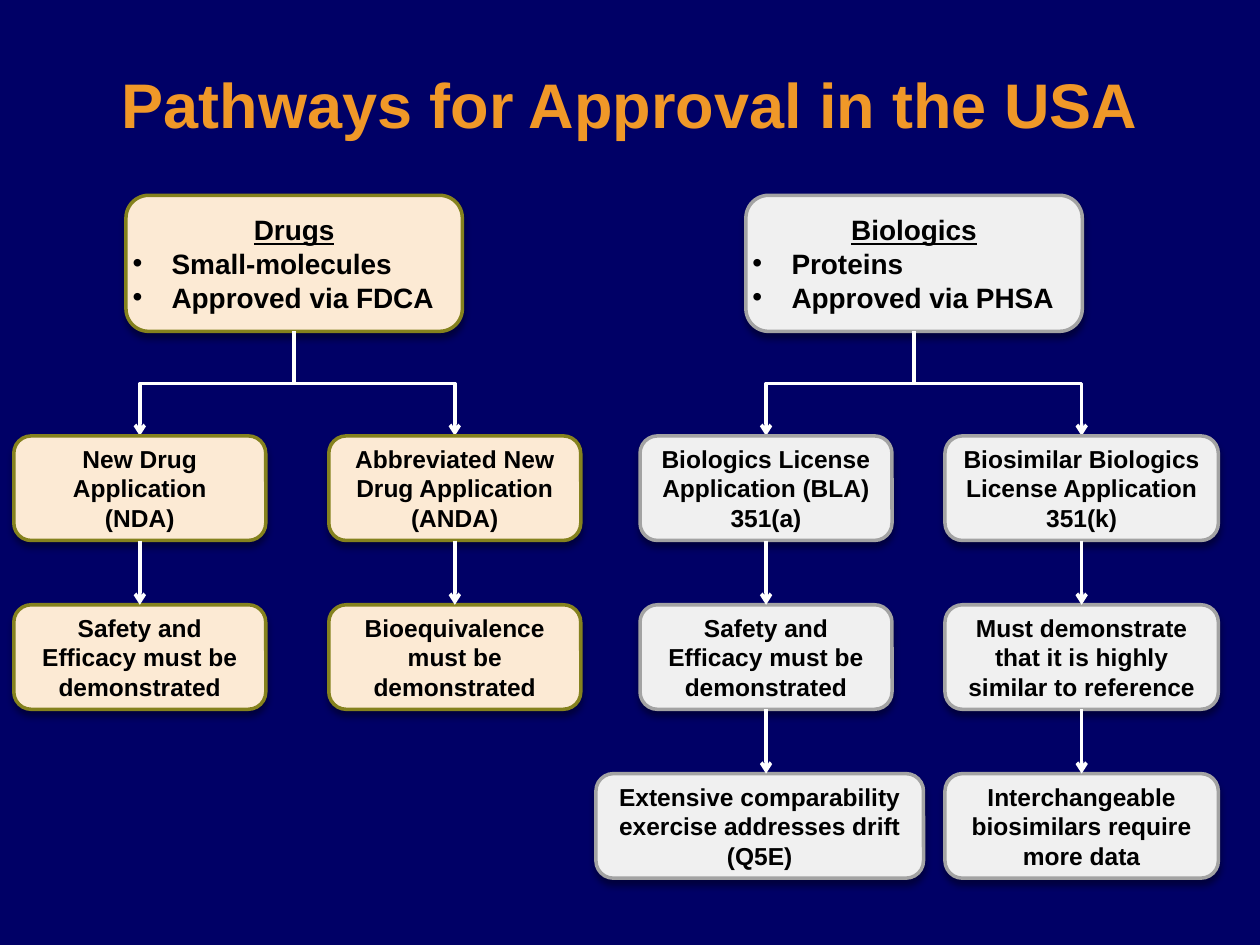
from dataclasses import dataclass

from lxml import etree
from pptx import Presentation
from pptx.dml.color import RGBColor
from pptx.enum import shapes, text
from pptx.oxml import ns
from pptx.util import Inches, Pt

COLORS = {
    "background": "000066",
    "title": "F09828",
    "text": "000000",
    "connector": "FFFFFF",
    "shadow": "000000",
    "drug_fill": "FCEAD4",
    "drug_line": "85821E",
    "biologic_fill": "F0F0F0",
    "biologic_line": "A3A3A3",
}
FONT = "Arial"
HEADER_TOP, HEADER_WIDTH, HEADER_HEIGHT = 1.55, 2.67, 1.08
STEP_TOP, STEP_HEIGHT, STEP_PITCH = 3.46, 0.83, 1.34


@dataclass(frozen=True)
class Step:
    lines: tuple[str, ...]
    left: float
    width: float = 2.0


@dataclass(frozen=True)
class Pathway:
    kind: str
    header: str
    bullets: tuple[str, ...]
    left: float
    columns: tuple[tuple[Step, ...], ...]


PATHWAYS = (
    Pathway("drug", "Drugs", ("Small-molecules", "Approved via FDCA"), 1.0, (
        (Step(("New Drug Application", "(NDA)"), 0.11),
         Step(("Safety and Efficacy must be demonstrated",), 0.11)),
        (Step(("Abbreviated New Drug Application", "(ANDA)"), 2.61),
         Step(("Bioequivalence must be demonstrated",), 2.61)),
    )),
    Pathway("biologic", "Biologics", ("Proteins", "Approved via PHSA"), 5.92, (
        (Step(("Biologics License Application (BLA)", "351(a)"), 5.08),
         Step(("Safety and Efficacy must be demonstrated",), 5.08),
         Step(("Extensive comparability exercise addresses drift", "(Q5E)"), 4.73, 2.6)),
        (Step(("Biosimilar Biologics License Application", "351(k)"), 7.5, 2.17),
         Step(("Must demonstrate that it is highly similar to reference",), 7.5, 2.17),
         Step(("Interchangeable biosimilars require more data",), 7.5, 2.17)),
    )),
)


def rgb(name: str) -> RGBColor:
    return RGBColor.from_string(COLORS[name])


def add_child(parent, tag: str, **attributes):
    child = etree.SubElement(parent, ns.qn(tag))
    for key, value in attributes.items():
        child.set(key, str(value))
    return child


def add_shadow(effects, blur: float, distance: float, degrees: int, opacity: int) -> None:
    shadow = add_child(effects, "a:outerShdw", blurRad=Pt(blur), dist=Pt(distance),
                       dir=degrees * 60000, algn="ctr", rotWithShape=0)
    color = add_child(shadow, "a:srgbClr", val=COLORS["shadow"])
    add_child(color, "a:alpha", val=opacity * 1000)


def write(paragraph, words: str, size: int, color: str = "text", underline: bool = False,
          alignment=text.PP_ALIGN.CENTER):
    paragraph.alignment = alignment
    run = paragraph.add_run()
    run.text = words
    font_format = {"name": FONT, "size": Pt(size), "bold": True, "underline": underline}
    for attribute, value in font_format.items():
        setattr(run.font, attribute, value)
    run.font.color.rgb = rgb(color)
    return run


def add_title(slide, words: str) -> None:
    title = slide.shapes.title
    place = {"left": 0.5, "top": 0.3, "width": 9, "height": 1.12}
    for attribute, value in place.items():
        setattr(title, attribute, Inches(value))
    title.text_frame.vertical_anchor = text.MSO_ANCHOR.MIDDLE
    paragraph = title.text_frame.paragraphs[0]
    paragraph.line_spacing = 0.9
    run = write(paragraph, words, 36, "title")
    fill = run.font._element.find(ns.qn("a:solidFill"))
    effects = etree.Element(ns.qn("a:effectLst"))
    fill.addnext(effects)
    add_shadow(effects, 3, 3, 45, 100)


def add_box(slide, kind: str, left: float, top: float, width: float, height: float):
    """Draw a shadowed rounded box and return its text frame."""
    box = slide.shapes.add_shape(shapes.MSO_SHAPE.ROUNDED_RECTANGLE, Inches(left),
                                 Inches(top), Inches(width), Inches(height))
    box.fill.solid()
    box.fill.fore_color.rgb = rgb(f"{kind}_fill")
    box.line.color.rgb = rgb(f"{kind}_line")
    box.line.width = Pt(2)
    box.shadow.inherit = False
    add_shadow(box._element.spPr.find(ns.qn("a:effectLst")), 4, 3, 90, 40)
    frame = box.text_frame
    frame.word_wrap = True
    frame.vertical_anchor = text.MSO_ANCHOR.MIDDLE
    return frame


def add_header(slide, pathway: Pathway) -> None:
    frame = add_box(slide, pathway.kind, pathway.left, HEADER_TOP, HEADER_WIDTH, HEADER_HEIGHT)
    frame.margin_left = frame.margin_right = 0
    write(frame.paragraphs[0], pathway.header, 16, underline=True)
    for words in pathway.bullets:
        paragraph = frame.add_paragraph()
        write(paragraph, words, 16, alignment=text.PP_ALIGN.LEFT)
        properties = paragraph._p.get_or_add_pPr()
        properties.set("marL", str(Inches(0.31)))
        properties.set("indent", str(-Inches(0.31)))
        add_child(properties, "a:buFont", typeface=FONT)
        add_child(properties, "a:buChar", char="•")


def add_step(slide, kind: str, step: Step, top: float) -> None:
    frame = add_box(slide, kind, step.left, top, step.width, STEP_HEIGHT)
    for index, words in enumerate(step.lines):
        paragraph = frame.add_paragraph() if index else frame.paragraphs[0]
        write(paragraph, words, 14)


def add_arrow(slide, kind, begin_x: float, begin_y: float, end_x: float, end_y: float):
    arrow = slide.shapes.add_connector(kind, Inches(begin_x), Inches(begin_y),
                                       Inches(end_x), Inches(end_y))
    arrow.line.color.rgb = rgb("connector")
    arrow.line.width = Pt(2)
    add_child(arrow.line._get_or_add_ln(), "a:tailEnd", type="arrow")
    add_child(arrow._element.spPr, "a:effectLst")
    return arrow


def add_branch(slide, begin_x: float, begin_y: float, end_x: float, end_y: float) -> None:
    """Draw an elbow that leaves downwards: a sideways elbow turned by a quarter."""
    length, spread = end_y - begin_y, abs(end_x - begin_x)
    left = (begin_x + end_x - length) / 2
    top = (begin_y + end_y - spread) / 2
    near, far, degrees = left, left + length, 90
    if end_x > begin_x:
        near, far, degrees = far, near, 270
    branch = add_arrow(slide, shapes.MSO_CONNECTOR.ELBOW, near, top, far, top + spread)
    branch._element.spPr.find(ns.qn("a:xfrm")).set("rot", str(degrees * 60000))


def add_pathway(slide, pathway: Pathway) -> None:
    add_header(slide, pathway)
    header_x = pathway.left + HEADER_WIDTH / 2
    for column in pathway.columns:
        center = column[0].left + column[0].width / 2
        add_branch(slide, header_x, HEADER_TOP + HEADER_HEIGHT, center, STEP_TOP)
        for row, step in enumerate(column):
            top = STEP_TOP + row * STEP_PITCH
            add_step(slide, pathway.kind, step, top)
            if row:
                add_arrow(slide, shapes.MSO_CONNECTOR.STRAIGHT, center,
                          top - STEP_PITCH + STEP_HEIGHT, center, top)


def main() -> None:
    presentation = Presentation()
    presentation.slide_width, presentation.slide_height = Inches(10), Inches(7.5)
    slide = presentation.slides.add_slide(presentation.slide_layouts[5])
    slide.background.fill.solid()
    slide.background.fill.fore_color.rgb = rgb("background")
    add_title(slide, "Pathways for Approval in the USA")
    for pathway in PATHWAYS:
        add_pathway(slide, pathway)
    presentation.save("out.pptx")


if __name__ == "__main__":
    main()
